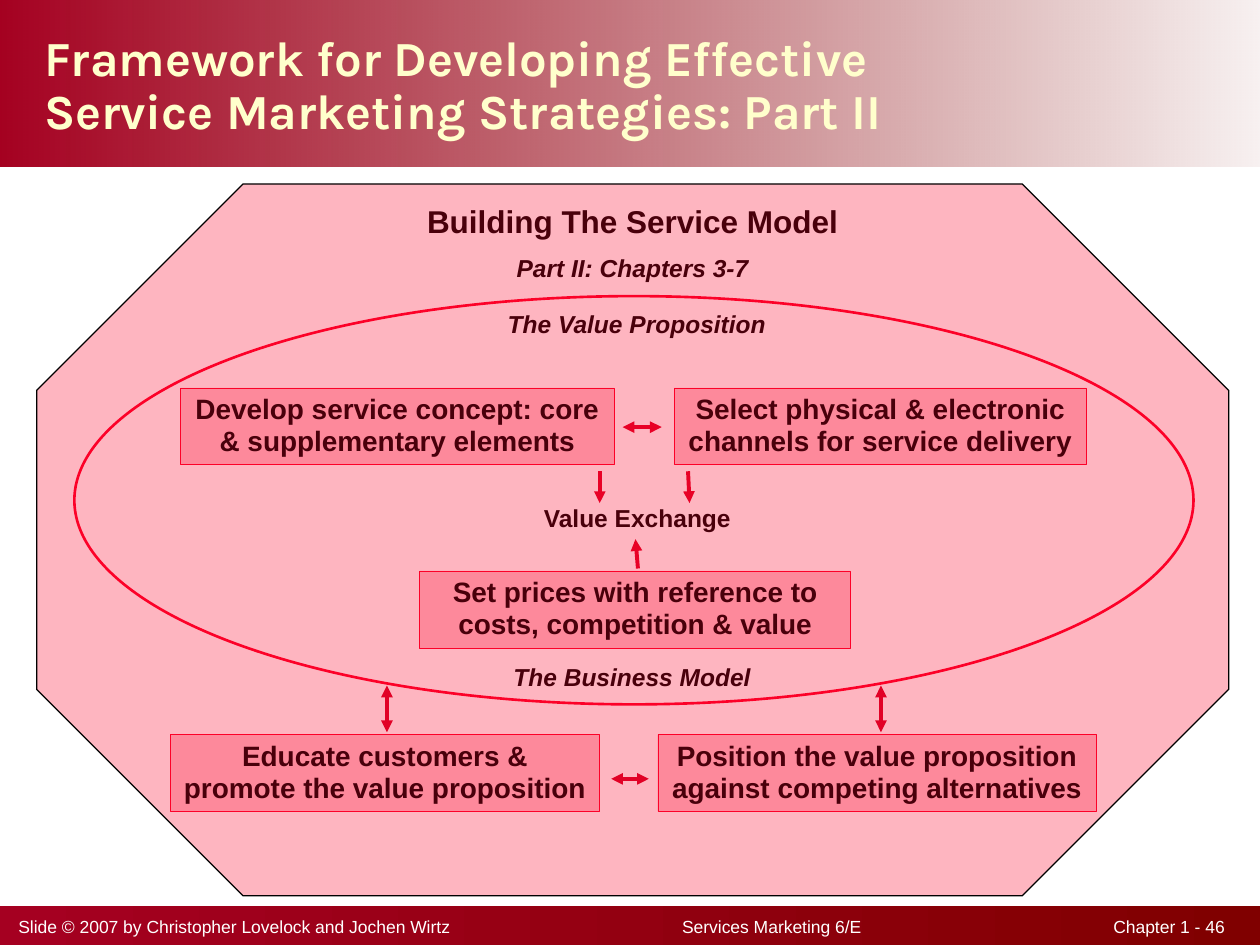
from dataclasses import dataclass

from lxml import etree
from pptx import Presentation
from pptx import util as u
from pptx.dml.color import RGBColor
from pptx.enum import shapes, text
from pptx.oxml import ns


@dataclass(frozen=True)
class Theme:
    """Colours, fonts and type sizes of the slide."""
    dark: str = "800000"
    wine: str = "A50021"
    cream: str = "FFFFCC"
    white: str = "FFFFFF"
    black: str = "000000"
    red: str = "FC0128"
    arrow: str = "E10126"
    body: str = "Arial"
    head: str = "Karla"
    title: int = 28
    lead: int = 18
    step: int = 16
    label: int = 14
    foot: int = 10


T = Theme()
KIND = shapes.MSO_SHAPE
ALIGN = text.PP_ALIGN


def rgb(code):
    """Turn a hex code into a colour."""
    return RGBColor.from_string(code)


def sub(node, tag, **attrs):
    """Append a DrawingML child to a node."""
    return etree.SubElement(node, ns.qn(tag), **attrs)


def cm(*sizes):
    """Turn numbers into lengths in centimetres."""
    return [u.Cm(size) for size in sizes]


def inside(box, x, y, w, h):
    """Place a box relative to the corner of another."""
    return box[0] + x, box[1] + y, w, h


def fade(fill, alpha):
    """Set the opacity in percent of every colour in a solid fill."""
    for tone in fill._xPr.iter(ns.qn("a:srgbClr")):
        sub(tone, "a:alpha", val=str(alpha * 1000))


def write(frame, words, size, font=T.body, color=T.black, bold=True,
          italic=False, align=ALIGN.CENTER, lead=0.95, before=0,
          anchor=text.MSO_ANCHOR.TOP, tabs=(), more=False):
    """Write one formatted paragraph into a text frame."""
    frame.word_wrap = True
    frame.vertical_anchor = anchor
    frame.margin_left = frame.margin_right = u.Cm(0.25)
    frame.margin_top = frame.margin_bottom = u.Cm(0.13)
    para = frame.add_paragraph() if more else frame.paragraphs[0]
    para.text = words
    para.alignment, para.line_spacing = align, lead
    para.space_before = u.Pt(before)
    if tabs:
        stops = sub(para._p.get_or_add_pPr(), "a:tabLst")
        for place, side in tabs:
            sub(stops, "a:tab", pos=str(u.Cm(place)), algn=side)
    for run in para.runs:
        run.font.size, run.font.name = u.Pt(size), font
        run.font.bold, run.font.italic = bold, italic
        run.font.color.rgb = rgb(color)


def label(slide, box, words, size=T.label, **style):
    """Add a text box and return its frame."""
    frame = slide.shapes.add_textbox(*cm(*box)).text_frame
    write(frame, words, size, **style)
    return frame


def shape(slide, kind, box, color, alpha, line, width):
    """Add a translucent outlined shape."""
    item = slide.shapes.add_shape(kind, *cm(*box))
    item.shadow.inherit = False
    item.fill.solid()
    item.fill.fore_color.rgb = rgb(color)
    fade(item.fill, alpha)
    item.line.color.rgb = rgb(line)
    item.line.width = u.Pt(width)
    return item


def band(slide, box, left, right, alpha=100):
    """Add a bar whose colour runs from left to right."""
    bar = slide.shapes.add_shape(KIND.RECTANGLE, *cm(*box))
    bar.shadow.inherit = False
    bar.line.fill.background()
    bar.fill.gradient()
    bar.fill.gradient_angle = 0
    for stop, tone in zip(bar.fill.gradient_stops, (left, right)):
        stop.color.rgb = rgb(tone)
    bar.fill.gradient_stops[0].position = 0
    bar.fill.gradient_stops[1].position = 1
    tones = list(bar._element.spPr.iter(ns.qn("a:srgbClr")))
    sub(tones[-1], "a:alpha", val=str(alpha * 1000))


def arrow(slide, box, start, end, both=False):
    """Add an arrow between two points relative to a box."""
    points = [box[i % 2] + n for i, n in enumerate((*start, *end))]
    link = slide.shapes.add_connector(shapes.MSO_CONNECTOR.STRAIGHT, *cm(*points))
    link.line.color.rgb = rgb(T.arrow)
    link.line.width = u.Pt(2.25)
    line = link.line._get_or_add_ln()
    if both:
        sub(line, "a:headEnd", type="triangle")
    sub(line, "a:tailEnd", type="triangle")
    sub(link._element.spPr, "a:effectLst")


def header(slide, box):
    """Draw the title band."""
    band(slide, box, T.wine, T.dark, alpha=6)
    label(slide, inside(box, 0.64, 0.08, 20.96, 3.35),
          "Framework for Developing Effective\vService Marketing Strategies: Part II",
          T.title, font=T.head, color=T.cream, align=ALIGN.LEFT, lead=0.9,
          anchor=text.MSO_ANCHOR.MIDDLE)


def footer(slide, box):
    """Draw the credit band."""
    band(slide, box, T.wine, T.dark)
    label(slide, inside(box, 0.12, 0.08, 24.97, 0.69),
          "Slide © 2007 by Christopher Lovelock and Jochen Wirtz"
          "\tServices Marketing 6/E\tChapter 1 - 46",
          T.foot, color=T.white, bold=False, align=ALIGN.LEFT, lead=1,
          tabs=((13.38, "l"), (24.32, "r")))


def model(slide, box):
    """Draw the service model with its steps, labels and arrows."""
    top, mid, low, tall = 4.11, 7.8, 11.1, 1.55
    shape(slide, KIND.OVAL, inside(box, 0.76, 2.26, 22.56, 8.23),
          T.white, 45, T.red, 1.5)
    frame = label(slide, inside(box, 6.4, 0.28, 11.23, 1.85),
                  "Building The Service Model", T.lead)
    write(frame, "Part II: Chapters 3-7", T.label, italic=True, before=8.8, more=True)
    steps = (
        (2.9, top, 8.74, "Develop service concept: core & supplementary elements"),
        (12.85, top, 8.31, "Select physical & electronic channels for service delivery"),
        (7.72, mid, 8.69, "Set prices with reference to costs, competition & value"),
        (2.69, low, 8.66, "Educate customers & promote the value proposition"),
        (12.52, low, 8.84, "Position the value proposition against competing alternatives"),
    )
    for x, y, wide, words in steps:
        item = shape(slide, KIND.RECTANGLE, inside(box, x, y, wide, tall),
                     T.red, 24, T.red, 0.25)
        write(item.text_frame, words, T.step)
    for x, y, wide, words, slant in (
        (9.53, 6.35, 5.16, "Value Exchange", False),
        (8.15, 2.44, 7.9, "The Value Proposition", True),
        (8.18, 9.55, 7.65, "The Business Model", True),
    ):
        label(slide, inside(box, x, y, wide, 0.81), words, italic=slant)
    arrow(slide, box, (11.35, 5.79), (11.35, 6.43))
    arrow(slide, box, (13.13, 5.79), (13.16, 6.43))
    arrow(slide, box, (12.12, 7.75), (12.07, 7.16))
    arrow(slide, box, (11.81, 4.9), (12.6, 4.9), both=True)
    veil = shape(slide, KIND.OCTAGON, box, T.red, 29, T.black, 0.75)
    veil.adjustments[0] = 0.29
    arrow(slide, box, (11.58, 11.99), (12.34, 11.99), both=True)
    for x in (7.06, 17.02):
        arrow(slide, box, (x, 10.11), (x, 11.05), both=True)


def main():
    """Build and save the slide."""
    deck = Presentation()
    deck.slide_width, deck.slide_height = cm(25.4, 19.05)
    slide = deck.slides.add_slide(deck.slide_layouts[6])
    header(slide, (0, 0, 25.4, 3.36))
    footer(slide, (0, 18.26, 25.4, 0.79))
    model(slide, (0.74, 3.71, 24.03, 14.35))
    deck.save("out.pptx")


if __name__ == "__main__":
    main()
